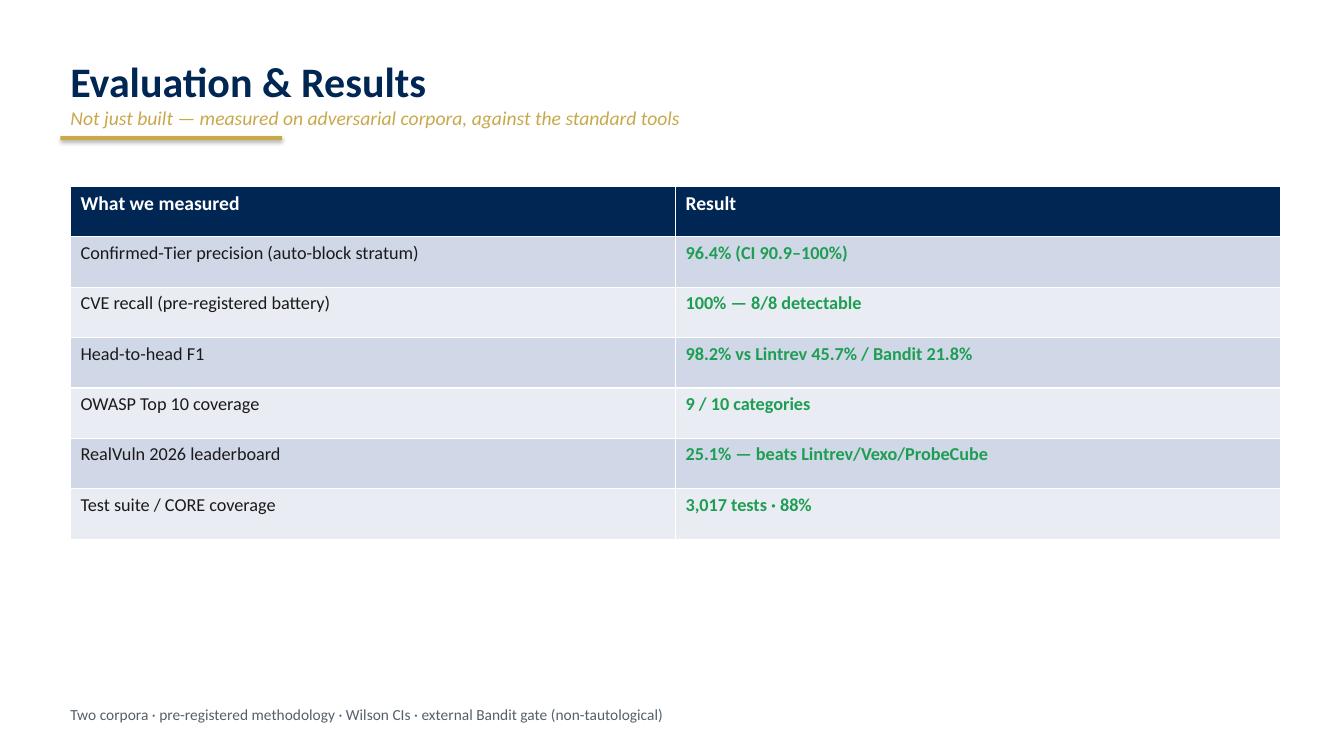
from dataclasses import dataclass

from pptx import Presentation
from pptx.dml.color import RGBColor
from pptx.enum.shapes import MSO_SHAPE
from pptx.enum.text import MSO_AUTO_SIZE
from pptx.util import Inches, Pt

RECTANGLE = MSO_SHAPE.RECTANGLE
GROW_TO_FIT = MSO_AUTO_SIZE.SHAPE_TO_FIT_TEXT
BLANK_LAYOUT = 6


@dataclass(frozen=True)
class Theme:
    font: str = "Calibri"
    navy: str = "002654"
    gold: str = "C9A84C"
    green: str = "1E9E53"
    ink: str = "1A1A1A"
    grey: str = "555F6B"
    white: str = "FFFFFF"
    bands: tuple = ("D0D8E7", "E9ECF3")
    title_size: int = 30
    subtitle_size: int = 14
    header_size: int = 14
    body_size: int = 13
    footer_size: int = 11


HEADERS = ("What we measured", "Result")
RESULTS = (
    ("Confirmed-Tier precision (auto-block stratum)", "96.4% (CI 90.9–100%)"),
    ("CVE recall (pre-registered battery)", "100% — 8/8 detectable"),
    ("Head-to-head F1", "98.2% vs Lintrev 45.7% / Bandit 21.8%"),
    ("OWASP Top 10 coverage", "9 / 10 categories"),
    ("RealVuln 2026 leaderboard", "25.1% — beats Lintrev/Vexo/ProbeCube"),
    ("Test suite / CORE coverage", "3,017 tests · 88%"),
)


class SlideBuilder:
    def __init__(self, slide, theme):
        self.shapes = slide.shapes
        self.theme = theme

    def style(self, paragraph, text, size, color, bold=False, italic=False):
        paragraph.text = text
        font = paragraph.font
        font.name = self.theme.font
        font.size = Pt(size)
        font.color.rgb = RGBColor.from_string(color)
        font.bold = bold
        font.italic = italic

    def text(self, left, top, width, height):
        """Add a wrapping text box and return its text frame."""
        box = self.shapes.add_textbox(
            Inches(left), Inches(top), Inches(width), Inches(height))
        frame = box.text_frame
        frame.word_wrap = True
        frame.auto_size = GROW_TO_FIT
        return frame

    def heading(self, title, subtitle):
        theme = self.theme
        frame = self.text(0.6, 0.5, 12.1, 0.83)
        self.style(frame.paragraphs[0], title, theme.title_size,
                   theme.navy, bold=True)
        self.style(frame.add_paragraph(), subtitle, theme.subtitle_size,
                   theme.gold, italic=True)

    def accent_rule(self, left, top, width, height):
        """Add the gold bar, keeping the soft shadow of the default theme."""
        rule = self.shapes.add_shape(
            RECTANGLE, Inches(left), Inches(top), Inches(width), Inches(height))
        rule.fill.solid()
        rule.fill.fore_color.rgb = RGBColor.from_string(self.theme.gold)
        rule.line.fill.background()

    def cell(self, cell, text, fill, size, color, bold):
        cell.fill.solid()
        cell.fill.fore_color.rgb = RGBColor.from_string(fill)
        self.style(cell.text_frame.paragraphs[0], text, size, color, bold)

    def results_table(self, headers, results, left, top, width, row_height):
        theme = self.theme
        row_count = len(results) + 1
        table = self.shapes.add_table(
            row_count, len(headers), Inches(left), Inches(top),
            Inches(width), Inches(row_height * row_count)).table
        for column, header in enumerate(headers):
            self.cell(table.cell(0, column), header, theme.navy,
                      theme.header_size, theme.white, True)
        for row, (measure, result) in enumerate(results, start=1):
            band = theme.bands[(row - 1) % len(theme.bands)]
            self.cell(table.cell(row, 0), measure, band,
                      theme.body_size, theme.ink, False)
            self.cell(table.cell(row, 1), result, band,
                      theme.body_size, theme.green, True)

    def footer(self, note):
        frame = self.text(0.6, 6.95, 12.1, 0.28)
        self.style(frame.paragraphs[0], note, self.theme.footer_size,
                   self.theme.grey)


def main():
    presentation = Presentation()
    presentation.slide_width = Inches(13.33)
    presentation.slide_height = Inches(7.5)
    slide = presentation.slides.add_slide(
        presentation.slide_layouts[BLANK_LAYOUT])

    builder = SlideBuilder(slide, Theme())
    builder.heading(
        "Evaluation & Results",
        "Not just built — measured on adversarial corpora, "
        "against the standard tools")
    builder.accent_rule(0.6, 1.35, 2.2, 0.04)
    builder.results_table(HEADERS, RESULTS, left=0.7, top=1.85,
                          width=12, row_height=0.5)
    builder.footer("Two corpora · pre-registered methodology · Wilson CIs · "
                   "external Bandit gate (non-tautological)")
    presentation.save("out.pptx")


if __name__ == "__main__":
    main()
